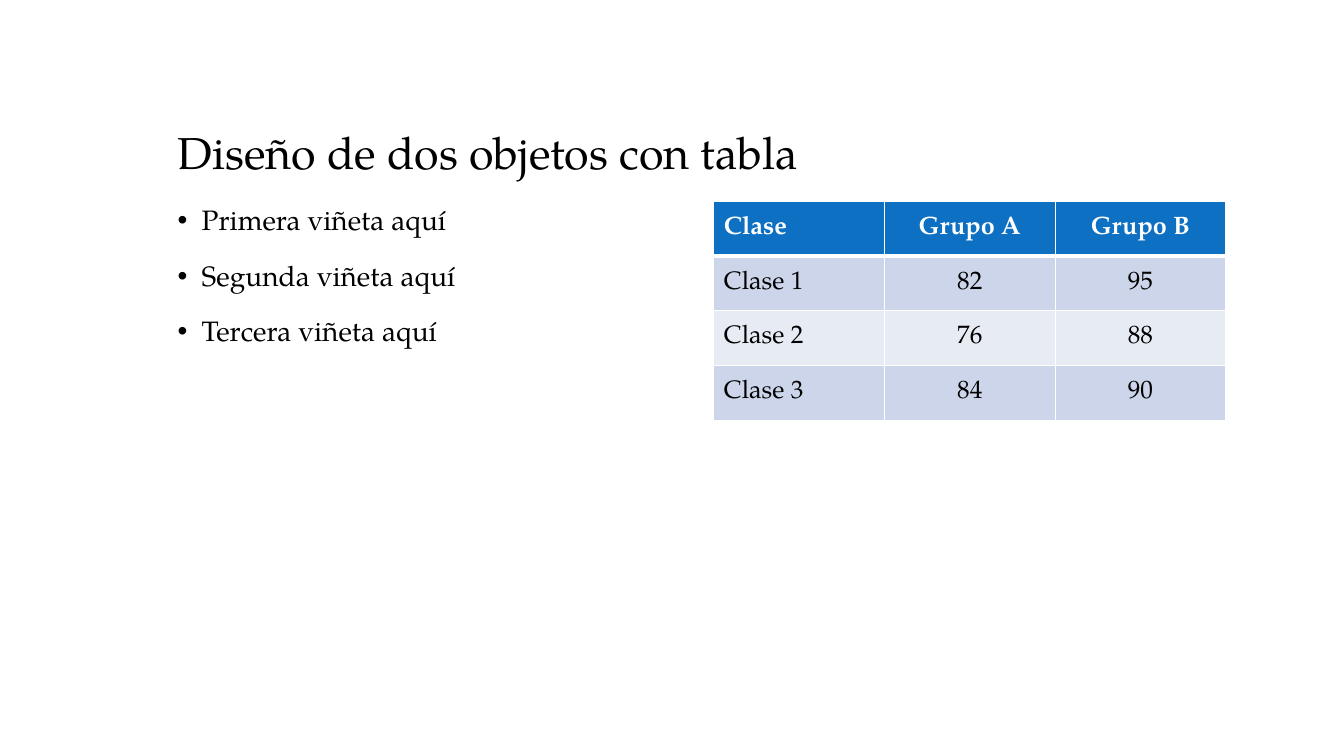
from dataclasses import dataclass

from lxml.etree import SubElement
from pptx import Presentation
from pptx.dml.color import RGBColor
from pptx.enum.text import MSO_ANCHOR as Anchor, MSO_AUTO_SIZE as AutoSize, PP_ALIGN as Align
from pptx.oxml.ns import qn
from pptx.util import Cm, Pt


@dataclass(frozen=True)
class Theme:
    font: str = "TeX Gyre Pagella"
    ink: str = "000000"
    white: str = "FFFFFF"
    header: str = "0E70C2"
    bands: tuple = ("CCD5E9", "E7EBF4")
    title_size: int = 32
    list_size: int = 20
    table_size: int = 18
    thin: int = 1
    thick: int = 3


@dataclass(frozen=True)
class Box:
    """A region of the slide, in centimetres."""
    left: float
    top: float
    width: float
    height: float

    def lengths(self):
        return Cm(self.left), Cm(self.top), Cm(self.width), Cm(self.height)


THEME = Theme()
TITLE = "Diseño de dos objetos con tabla"
BULLETS = ("Primera viñeta aquí", "Segunda viñeta aquí", "Tercera viñeta aquí")
ROWS = (
    ("Clase", "Grupo A", "Grupo B"),
    ("Clase 1", "82", "95"),
    ("Clase 2", "76", "88"),
    ("Clase 3", "84", "90"),
)


def format_text(para, size, color=THEME.ink, bold=False, align=Align.LEFT):
    para.alignment = align
    for span in para.runs:
        span.font.name = THEME.font
        span.font.size = Pt(size)
        span.font.bold = bold
        span.font.color.rgb = RGBColor.from_string(color)


def fill_placeholder(shape, box, text, size, anchor):
    shape.left, shape.top, shape.width, shape.height = box.lengths()
    frame = shape.text_frame
    frame.text = text
    frame.word_wrap = True
    frame.auto_size = AutoSize.NONE
    frame.vertical_anchor = anchor
    for para in frame.paragraphs:
        para.line_spacing = 0.9
        format_text(para, size)
    return frame


def add_title(page, box):
    fill_placeholder(page.shapes.title, box, TITLE, THEME.title_size, Anchor.BOTTOM)


def add_bullets(page, box):
    frame = fill_placeholder(page.placeholders[1], box, "\n".join(BULLETS),
                             THEME.list_size, Anchor.TOP)
    for para in frame.paragraphs:
        para.space_before = Pt(18)
        properties = para._p.get_or_add_pPr()
        properties.set("marL", str(Cm(0.61)))
        properties.set("indent", str(-Cm(0.61)))


def set_borders(cell, top, bottom):
    """Draw white cell borders; call before the fill, which must follow them."""
    properties = cell._tc.get_or_add_tcPr()
    widths = {"a:lnL": THEME.thin, "a:lnR": THEME.thin, "a:lnT": top, "a:lnB": bottom}
    for tag, width in widths.items():
        line = SubElement(properties, qn(tag), w=str(Pt(width)))
        fill = SubElement(line, qn("a:solidFill"))
        SubElement(fill, qn("a:srgbClr"), val=THEME.white)


def add_class_table(page, box):
    table = page.shapes.add_table(len(ROWS), len(ROWS[0]), *box.lengths()).table
    table.horz_banding = False
    for row, values in enumerate(ROWS):
        is_header = row == 0
        background = THEME.header if is_header else THEME.bands[(row - 1) % 2]
        for column, value in enumerate(values):
            cell = table.cell(row, column)
            set_borders(cell, top=THEME.thick if row == 1 else THEME.thin,
                        bottom=THEME.thick if is_header else THEME.thin)
            cell.fill.solid()
            cell.fill.fore_color.rgb = RGBColor.from_string(background)
            cell.vertical_anchor = Anchor.MIDDLE
            cell.text = value
            format_text(cell.text_frame.paragraphs[0], THEME.table_size,
                        THEME.white if is_header else THEME.ink, is_header,
                        Align.CENTER if column else Align.LEFT)


def build_table_slide(deck, box):
    """Place the title across the box, with the list and the table side by side below."""
    page = deck.slides.add_slide(deck.slide_layouts[1])
    column_width = 12.9
    body_top = box.top + 3.61
    table_left = box.left + box.width - column_width
    add_title(page, Box(box.left, box.top, box.width, 3.18))
    add_bullets(page, Box(box.left, body_top, column_width, box.height - 3.61))
    add_class_table(page, Box(table_left, body_top, column_width, 5.51))


def main():
    deck = Presentation()
    deck.slide_width, deck.slide_height = Cm(33.87), Cm(19.05)
    build_table_slide(deck, Box(4.22, 1.47, 26.67, 15.24))
    deck.save("out.pptx")


if __name__ == "__main__":
    main()
